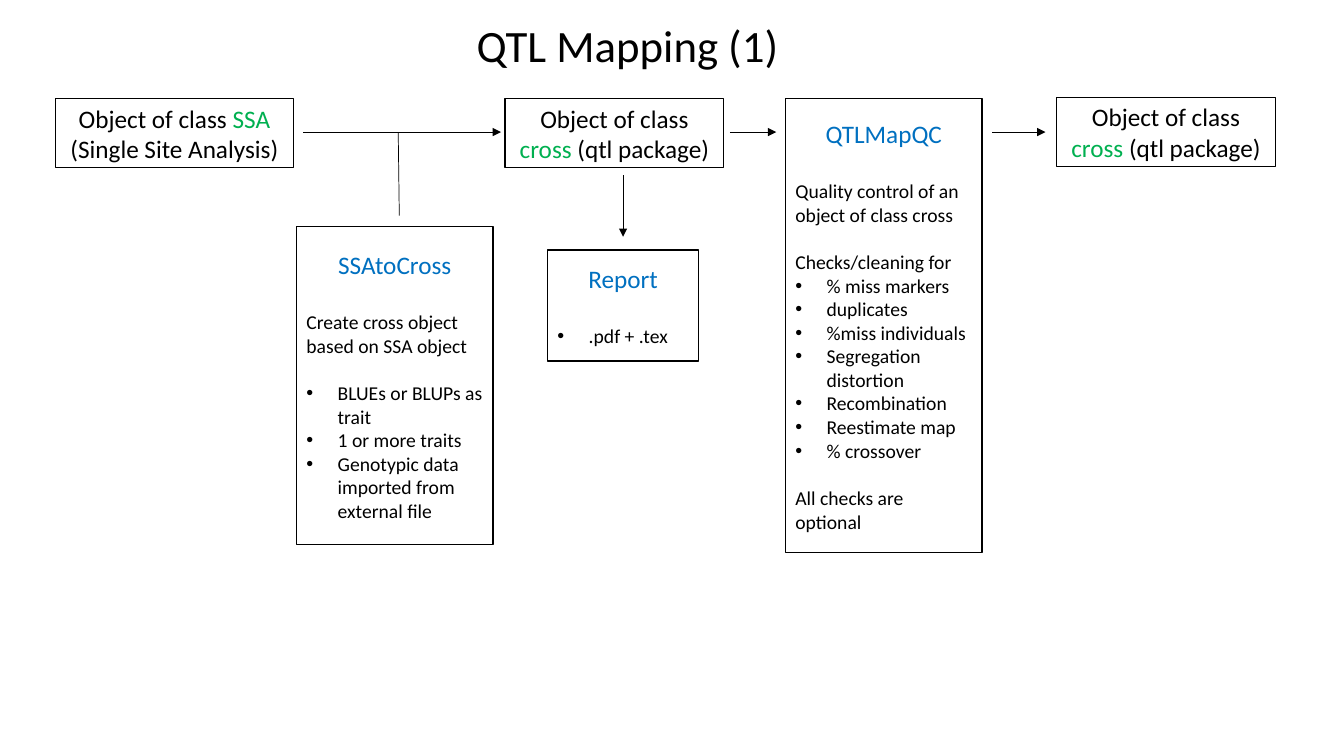
from dataclasses import dataclass
from lxml import etree
from pptx import Presentation
from pptx import util as u
from pptx.dml.color import RGBColor
from pptx.enum import shapes, text
from pptx.oxml.ns import qn


@dataclass(frozen=True)
class Theme:
    font: str = "Calibri"
    ink: str = "000000"
    paper: str = "FFFFFF"
    class_name: str = "00B050"
    function: str = "0070C0"
    title: int = 32
    label: int = 18
    body: int = 14
    border: float = 1
    wire: float = 0.5
    line_height: float = 1.22


T = Theme()
W, H = u.Inches(13.33), u.Inches(7.5)
BULLET, GAP = "bullet", "gap"


def across(share):
    return round(W * share / 100)


def down(share):
    return round(H * share / 100)


def place(box):
    x, y, w, h = box
    return across(x), down(y), across(w), down(h)


def add_run(p, words, size, color=T.ink):
    r = p.add_run()
    r.text = words
    r.font.name = T.font
    r.font.size = u.Pt(size)
    r.font.color.rgb = RGBColor.from_string(color)


def add_bullet(p):
    pPr = p._p.get_or_add_pPr()
    indent = u.Inches(0.31)
    pPr.set("marL", str(indent))
    pPr.set("indent", str(-indent))
    etree.SubElement(pPr, qn("a:buFont")).set("typeface", "Arial")
    etree.SubElement(pPr, qn("a:buChar")).set("char", "•")


def title(s, box, words):
    tf = s.shapes.add_textbox(*place(box)).text_frame
    tf.word_wrap = True
    tf.auto_size = text.MSO_AUTO_SIZE.SHAPE_TO_FIT_TEXT
    p = tf.paragraphs[0]
    p.alignment = text.PP_ALIGN.CENTER
    add_run(p, words, T.title)


def frame(s, box):
    sp = s.shapes.add_shape(shapes.MSO_SHAPE.RECTANGLE, *place(box))
    sp.shadow.inherit = False
    sp.fill.solid()
    sp.fill.fore_color.rgb = RGBColor.from_string(T.paper)
    sp.line.color.rgb = RGBColor.from_string(T.ink)
    sp.line.width = u.Pt(T.border)
    tf = sp.text_frame
    tf.word_wrap = True
    tf.vertical_anchor = text.MSO_ANCHOR.MIDDLE
    tf.paragraphs[0].alignment = text.PP_ALIGN.CENTER
    return tf


def object_box(s, box, class_name, note):
    p = frame(s, box).paragraphs[0]
    add_run(p, "Object of class ", T.label)
    add_run(p, class_name, T.label, T.class_name)
    add_run(p, f" ({note})", T.label)


def function_box(s, box, name, lines):
    tf = frame(s, box)
    add_run(tf.paragraphs[0], name, T.label, T.function)
    for i, (words, *marks) in enumerate(lines):
        p = tf.add_paragraph()
        p.alignment = text.PP_ALIGN.LEFT
        if i == 0:
            p.space_before = u.Pt(T.label * T.line_height)
        elif GAP in marks:
            p.space_before = u.Pt(T.body * T.line_height)
        if BULLET in marks:
            add_bullet(p)
        add_run(p, words, T.body)


def wire(s, x1, y1, x2, y2, arrow=True):
    c = s.shapes.add_connector(shapes.MSO_CONNECTOR.STRAIGHT,
                               across(x1), down(y1), across(x2), down(y2))
    c.line.color.rgb = RGBColor.from_string(T.ink)
    c.line.width = u.Pt(T.wire)
    if arrow:
        etree.SubElement(c.line._get_or_add_ln(), qn("a:tailEnd")).set("type", "triangle")
    etree.SubElement(c._element.spPr, qn("a:effectLst"))


def flow(s, top, level):
    object_box(s, (4.13, top, 17.7, 9.07), "SSA", "Single Site Analysis")
    object_box(s, (37.58, top, 16.28, 9.07), "cross", "qtl package")
    object_box(s, (78.62, top - 0.14, 16.28, 9.07), "cross", "qtl package")
    for start, end in ((22.58, 37.28), (54.31, 57.76), (73.82, 77.79)):
        wire(s, start, level, end, level)
    wire(s, 29.63, level, 29.71, 28.53, arrow=False)
    wire(s, 46.36, 23.2, 46.36, 31.33)


def functions(s, top):
    function_box(s, (22.06, 30, 14.63, 42), "SSAtoCross", [
        ("Create cross object based on SSA object",),
        ("BLUEs or BLUPs as trait", BULLET, GAP),
        ("1 or more traits", BULLET),
        ("Genotypic data imported from external file", BULLET),
    ])
    checks = ("% miss markers", "duplicates", "%miss individuals",
              "Segregation distortion", "Recombination",
              "Reestimate map", "% crossover")
    function_box(s, (58.44, top, 14.63, 60), "QTLMapQC", [
        ("Quality control of an object of class cross",),
        ("Checks/cleaning for", GAP),
        *((check, BULLET) for check in checks),
        ("All checks are optional", GAP),
    ])
    function_box(s, (40.74, 33.07, 11.25, 14.67), "Report",
                 [(".pdf + .tex", BULLET)])


def main():
    prs = Presentation()
    prs.slide_width, prs.slide_height = W, H
    s = prs.slides.add_slide(prs.slide_layouts[6])
    title(s, (9.75, 1.73, 73.89, 8.53), "QTL Mapping (1)")
    flow(s, 13.07, 17.47)
    functions(s, 13.07)
    prs.save("out.pptx")


if __name__ == "__main__":
    main()
